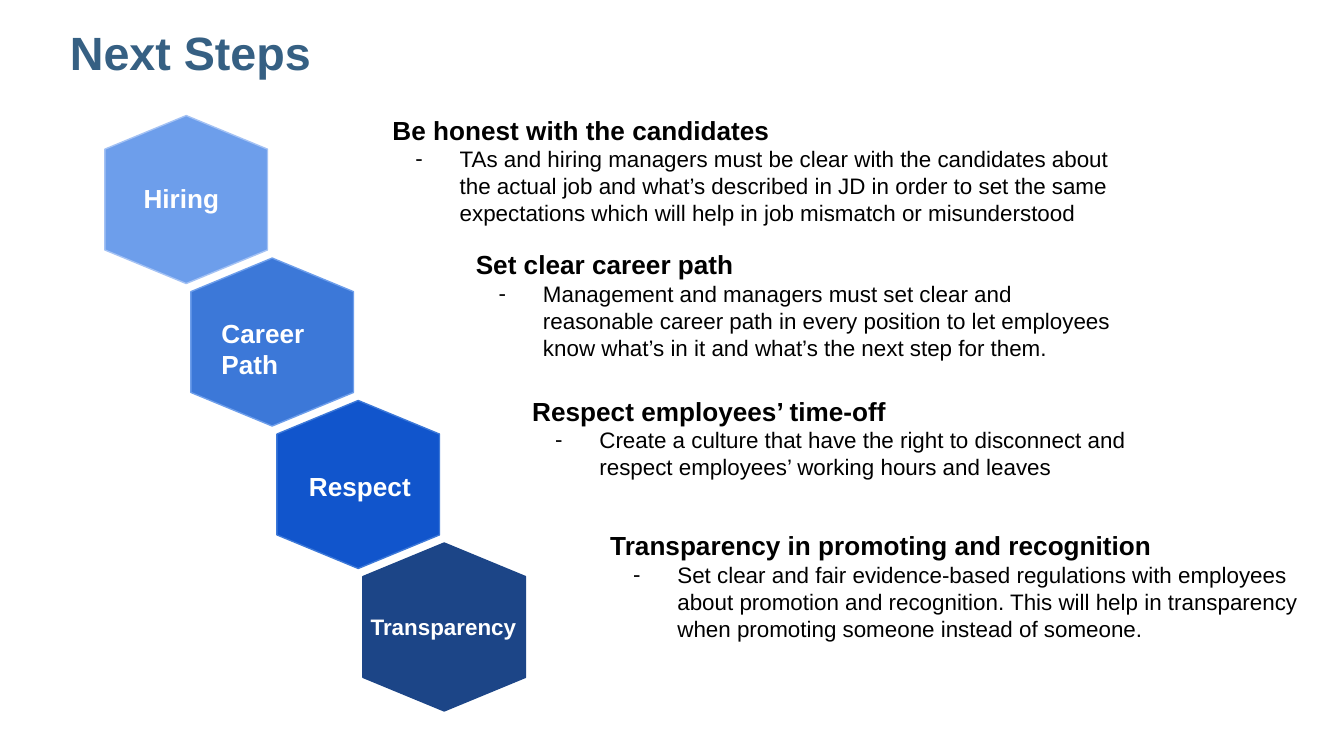
from dataclasses import dataclass

from lxml.etree import SubElement
from pptx import Presentation
from pptx.dml.color import RGBColor
from pptx.enum.shapes import MSO_SHAPE
from pptx.enum.text import MSO_ANCHOR, MSO_AUTO_SIZE, PP_ALIGN
from pptx.oxml.ns import qn
from pptx.util import Inches, Pt

CELL = 0.1
COLS, ROWS = 100, 56.25


@dataclass(frozen=True)
class Theme:
    font: str = "Arial"
    title: str = "366083"
    ink: str = "000000"
    paper: str = "FFFFFF"
    title_size: int = 25
    head_size: int = 14
    body_size: int = 12
    line: float = 0.75


THEME = Theme()

STEPS = [
    dict(label="Hiring", label_at=(9.7, 12.6, 9.6, 4.4), size=THEME.head_size,
         fill="6D9EEB", line="A4C2F4", list_at=(28.2, 7.5, 56.1, 10.4),
         head="Be honest with the candidates",
         body="TAs and hiring managers must be clear with the candidates about "
              "the actual job and what’s described in JD in order to set the same "
              "expectations which will help in job mismatch or misunderstood"),
    dict(label="Career Path", label_at=(15.5, 22.6, 9.6, 6.7), size=THEME.head_size,
         fill="3C78D8", line="6D9EEB", list_at=(34.4, 17.5, 50.4, 12.8),
         head="Set clear career path",
         body="Management and managers must set clear and reasonable career path "
              "in every position to let employees know what’s in it and what’s "
              "the next step for them."),
    dict(label="Respect", label_at=(22, 34, 10.9, 4.4), size=THEME.head_size,
         fill="1155CC", line="3C78D8", list_at=(38.6, 28.4, 50.4, 10.8),
         head="Respect employees’ time-off",
         body="Create a culture that have the right to disconnect and respect "
              "employees’ working hours and leaves"),
    dict(label="Transparency", label_at=(26.6, 44.6, 15.7, 4), size=THEME.body_size,
         fill="1C4587", line="1C4587", list_at=(44.4, 38.4, 55, 12.8),
         head="Transparency in promoting and recognition",
         body="Set clear and fair evidence-based regulations with employees about "
              "promotion and recognition. This will help in transparency when "
              "promoting someone instead of someone."),
]


def cells(*values):
    return [Inches(v * CELL) for v in values]


def set_attrs(target, values):
    for name, value in values.items():
        setattr(target, name, value)


def place(sp, at):
    set_attrs(sp, dict(zip(("left", "top", "width", "height"), cells(*at))))


def format_frame(tf):
    margin = Inches(0.1)
    set_attrs(tf, dict(word_wrap=True, auto_size=MSO_AUTO_SIZE.NONE,
                       vertical_anchor=MSO_ANCHOR.TOP,
                       margin_left=margin, margin_right=margin,
                       margin_top=margin, margin_bottom=margin))


def write(p, text, size, color, bold=True):
    set_attrs(p, dict(alignment=PP_ALIGN.LEFT, space_before=Pt(0)))
    r = p.add_run()
    r.text = text
    set_attrs(r.font, dict(name=THEME.font, size=Pt(size), bold=bold))
    r.font.color.rgb = RGBColor.from_string(color)


def set_bullet(p, char=None, left=0, indent=0):
    pPr = p._p.get_or_add_pPr()
    pPr.set("marL", str(Inches(left)))
    pPr.set("indent", str(Inches(indent)))
    if char is None:
        SubElement(pPr, qn("a:buNone"))
        return
    color = SubElement(pPr, qn("a:buClr"))
    SubElement(color, qn("a:srgbClr"), val=THEME.ink)
    SubElement(pPr, qn("a:buFont"), typeface=THEME.font)
    SubElement(pPr, qn("a:buChar"), char=char)


def fill_title(sp, text):
    place(sp, (4.2, 0.8, 55.6, 6.2))
    format_frame(sp.text_frame)
    write(sp.text_frame.paragraphs[0], text, THEME.title_size, THEME.title)


def add_hexagon(s, index, step):
    at = cells(7.6 + 6.4 * index, 8.8 + 10.6 * index, 12.5, 12.1)
    sp = s.shapes.add_shape(MSO_SHAPE.FLOWCHART_PREPARATION, *at)
    sp.rotation = 90
    sp.shadow.inherit = False
    sp.fill.solid()
    sp.fill.fore_color.rgb = RGBColor.from_string(step["fill"])
    sp.line.color.rgb = RGBColor.from_string(step["line"])
    sp.line.width = Pt(THEME.line)


def add_label(s, step):
    tf = s.shapes.add_textbox(*cells(*step["label_at"])).text_frame
    format_frame(tf)
    write(tf.paragraphs[0], step["label"], step["size"], THEME.paper)


def fill_list(sp, step):
    place(sp, step["list_at"])
    tf = sp.text_frame
    format_frame(tf)
    head, body = tf.paragraphs[0], tf.add_paragraph()
    set_bullet(head)
    write(head, step["head"], THEME.head_size, THEME.ink)
    set_bullet(body, "-", 0.5, -0.33)
    write(body, step["body"], THEME.body_size, THEME.ink, bold=False)


def main():
    prs = Presentation()
    prs.slide_width, prs.slide_height = cells(COLS, ROWS)
    s = prs.slides.add_slide(prs.slide_layouts.get_by_name("Comparison"))
    title, *lists = s.placeholders
    fill_title(title, "Next Steps")
    for index, (sp, step) in enumerate(zip(lists, STEPS)):
        add_hexagon(s, index, step)
        add_label(s, step)
        fill_list(sp, step)
    prs.save("out.pptx")


if __name__ == "__main__":
    main()
